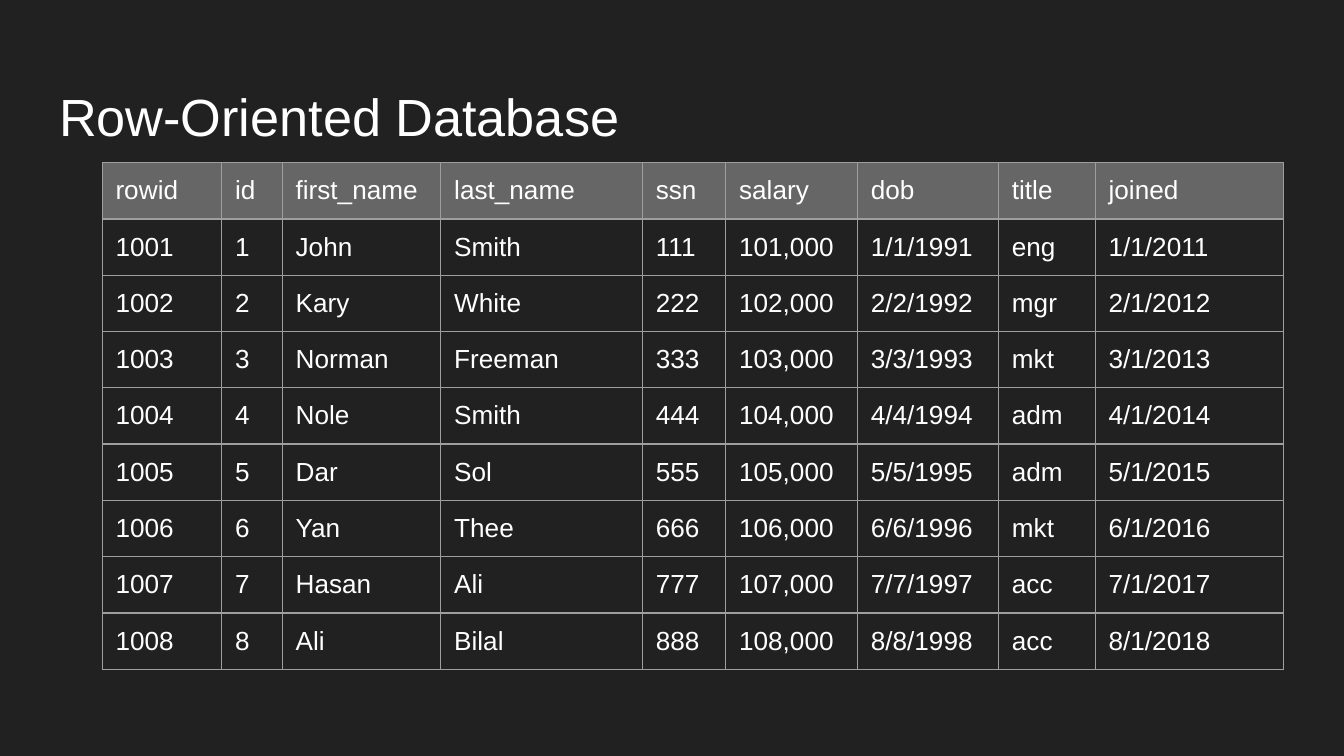
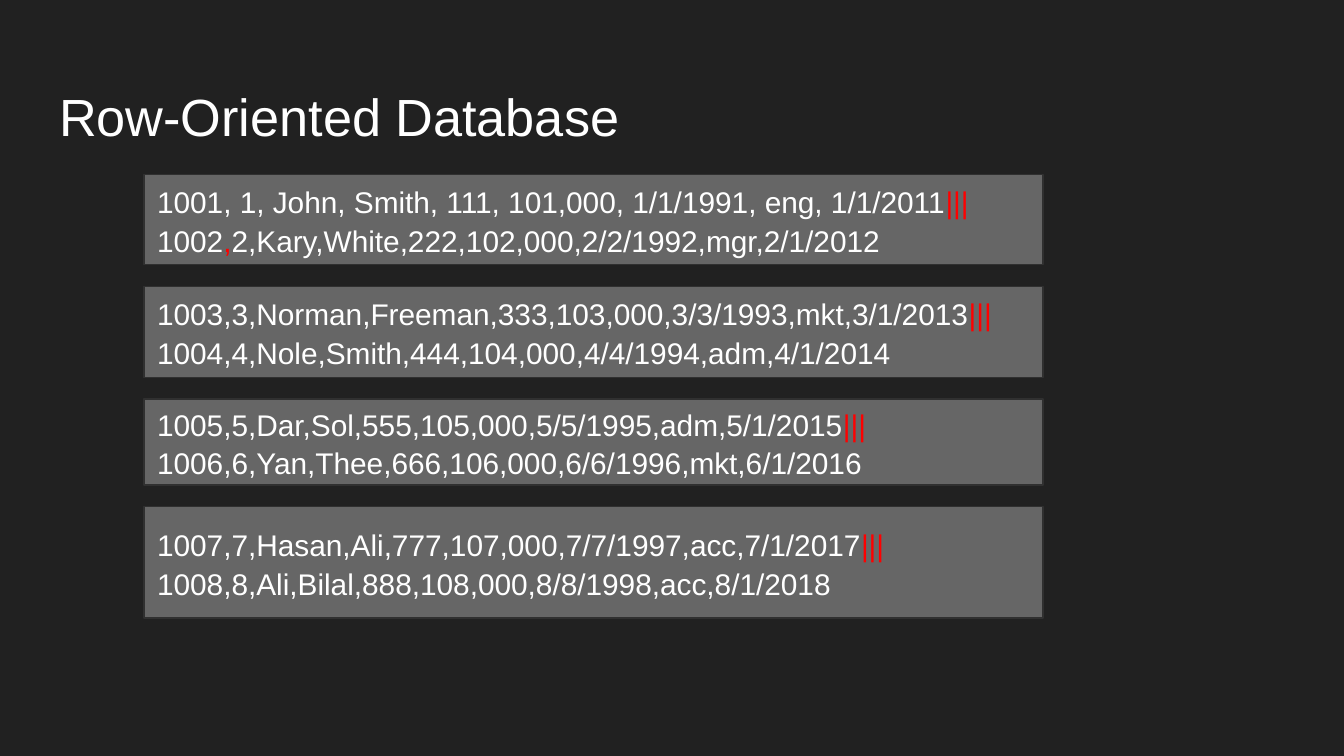
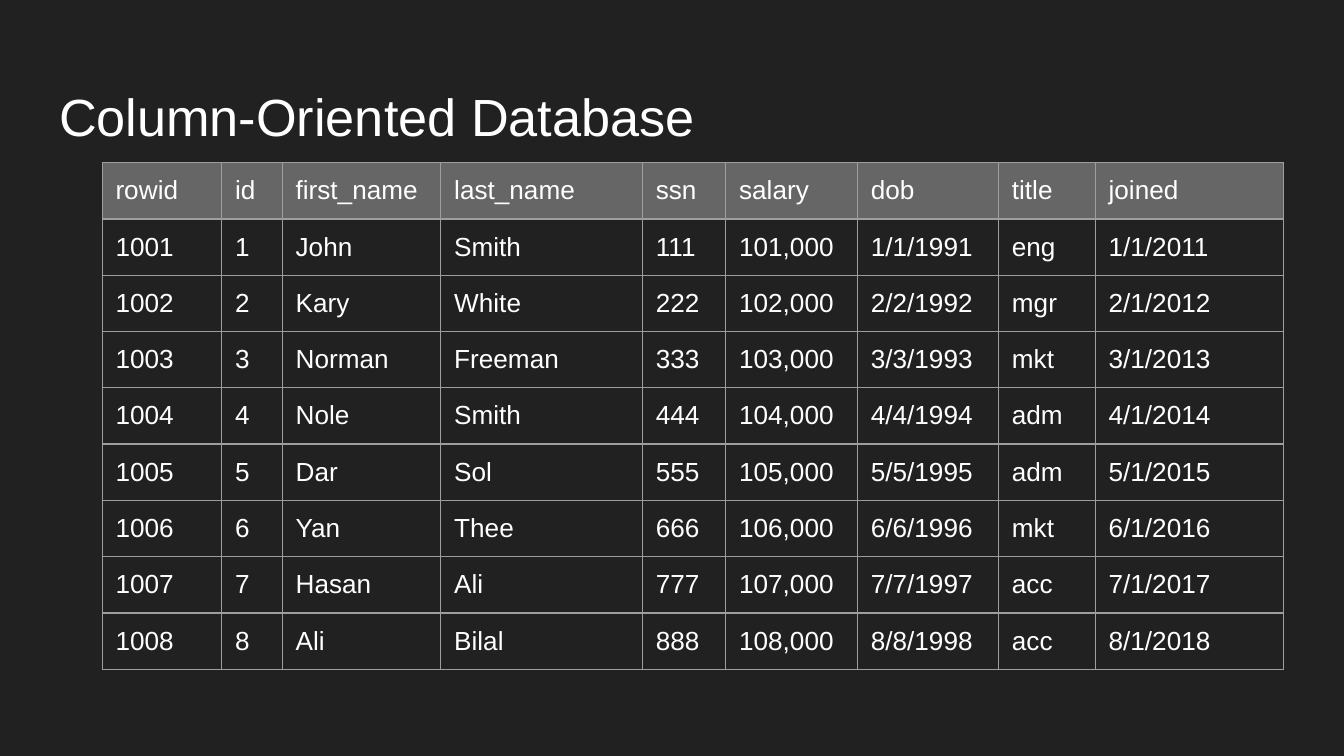
from dataclasses import dataclass

from lxml import etree
from pptx import Presentation
from pptx.dml.color import RGBColor
from pptx.enum.shapes import MSO_SHAPE
from pptx.enum.text import MSO_ANCHOR, MSO_AUTO_SIZE, PP_ALIGN
from pptx.oxml.ns import qn
from pptx.util import Inches, Pt

RECTANGLE = MSO_SHAPE.RECTANGLE
TOP, MIDDLE = MSO_ANCHOR.TOP, MSO_ANCHOR.MIDDLE
LEFT = PP_ALIGN.LEFT
NO_AUTOFIT = MSO_AUTO_SIZE.NONE
TITLE_ONLY = 5


@dataclass(frozen=True)
class Theme:
    """Colours, type sizes and spacing shared by all pages."""
    background: RGBColor = RGBColor(0x21, 0x21, 0x21)
    panel: RGBColor = RGBColor(0x66, 0x66, 0x66)
    outline: RGBColor = RGBColor(0x30, 0x30, 0x30)
    grid: RGBColor = RGBColor(0x9E, 0x9E, 0x9E)
    text: RGBColor = RGBColor(0xFF, 0xFF, 0xFF)
    accent: RGBColor = RGBColor(0xFF, 0x00, 0x00)
    font: str = "Arial"
    title_size: Pt = Pt(28)
    block_size: Pt = Pt(16)
    cell_size: Pt = Pt(14)
    line_width: Pt = Pt(0.75)
    line_spacing: float = 1.08
    inset: Inches = Inches(0.1)


theme = Theme()

FIELDS = ["rowid", "id", "first_name", "last_name", "ssn", "salary", "dob", "title", "joined"]
RECORDS = [
    ["1001", "1", "John", "Smith", "111", "101,000", "1/1/1991", "eng", "1/1/2011"],
    ["1002", "2", "Kary", "White", "222", "102,000", "2/2/1992", "mgr", "2/1/2012"],
    ["1003", "3", "Norman", "Freeman", "333", "103,000", "3/3/1993", "mkt", "3/1/2013"],
    ["1004", "4", "Nole", "Smith", "444", "104,000", "4/4/1994", "adm", "4/1/2014"],
    ["1005", "5", "Dar", "Sol", "555", "105,000", "5/5/1995", "adm", "5/1/2015"],
    ["1006", "6", "Yan", "Thee", "666", "106,000", "6/6/1996", "mkt", "6/1/2016"],
    ["1007", "7", "Hasan", "Ali", "777", "107,000", "7/7/1997", "acc", "7/1/2017"],
    ["1008", "8", "Ali", "Bilal", "888", "108,000", "8/8/1998", "acc", "8/1/2018"],
]
COLUMN_WIDTHS = [0.89, 0.45, 1.18, 1.5, 0.62, 0.98, 1.05, 0.72, 1.4]
BLOCK_HEIGHTS = [0.67, 0.68, 0.64, 0.83]
BLOCK_GAP = 0.16


def style_paragraph(paragraph, size):
    """Give a paragraph the theme font in white, aligned left."""
    paragraph.alignment = LEFT
    paragraph.font.name = theme.font
    paragraph.font.size = size
    paragraph.font.bold = False
    paragraph.font.color.rgb = theme.text


def add_record_table(page):
    """Draw the table of all records under a shaded heading row."""
    rows = [FIELDS] + RECORDS
    height = Inches(3.76)
    table = page.shapes.add_table(len(rows), len(FIELDS), Inches(0.76), Inches(1.21),
                                  Inches(sum(COLUMN_WIDTHS)), height).table
    table.first_row = table.horz_banding = False
    for column, width in zip(table.columns, COLUMN_WIDTHS):
        column.width = Inches(width)
    for row_index, values in enumerate(rows):
        table.rows[row_index].height = height // len(rows)
        for column_index, value in enumerate(values):
            cell = table.cell(row_index, column_index)
            cell.text = value
            cell.margin_left = cell.margin_right = theme.inset
            cell.margin_top = cell.margin_bottom = theme.inset
            style_paragraph(cell.text_frame.paragraphs[0], theme.cell_size)
            properties = cell._tc.get_or_add_tcPr()
            for side in ("a:lnL", "a:lnR", "a:lnT", "a:lnB"):
                border = etree.SubElement(properties, qn(side), w=str(theme.line_width))
                fill = etree.SubElement(border, qn("a:solidFill"))
                etree.SubElement(fill, qn("a:srgbClr"), val=str(theme.grid))
            if row_index == 0:
                cell.fill.solid()
                cell.fill.fore_color.rgb = theme.panel
            else:
                cell.fill.background()


deck = Presentation()
deck.slide_width = Inches(10)
deck.slide_height = deck.slide_width * 9 // 16
deck.slide_master.background.fill.solid()
deck.slide_master.background.fill.fore_color.rgb = theme.background

# Pages with their titles
pages = []
for heading in ("Row-Oriented Database", "Row-Oriented Database", "Column-Oriented Database"):
    page = deck.slides.add_slide(deck.slide_layouts[TITLE_ONLY])
    title = page.shapes.title
    title.left, title.top = Inches(0.34), Inches(0.49)
    title.width, title.height = Inches(9.32), Inches(0.63)
    frame = title.text_frame
    frame.text = heading
    frame.auto_size = NO_AUTOFIT
    frame.vertical_anchor = TOP
    frame.margin_left = frame.margin_right = frame.margin_top = theme.inset
    frame.margin_bottom = Inches(0.05)
    style_paragraph(frame.paragraphs[0], theme.title_size)
    frame.paragraphs[0].line_spacing = theme.line_spacing
    pages.append(page)
row_page, block_page, column_page = pages

# Pages 1 and 3: the records as a table
add_record_table(row_page)
add_record_table(column_page)

# Page 2: storage blocks of two records, each pair parted by red bars
block_top = 1.3
for block_index, block_height in enumerate(BLOCK_HEIGHTS):
    box = block_page.shapes.add_shape(RECTANGLE, Inches(1.07), Inches(block_top),
                                      Inches(6.69), Inches(block_height))
    box.shadow.inherit = False
    box.fill.solid()
    box.fill.fore_color.rgb = theme.panel
    box.line.color.rgb = theme.outline
    box.line.width = theme.line_width
    frame = box.text_frame
    frame.word_wrap = True
    frame.vertical_anchor = MIDDLE
    frame.margin_left = frame.margin_right = theme.inset
    frame.margin_top = frame.margin_bottom = theme.inset

    first, second = RECORDS[2 * block_index:2 * block_index + 2]
    separator = ", " if block_index == 0 else ","
    lines = [[(separator.join(first), theme.text), ("|||", theme.accent)],
             [(",".join(second), theme.text)]]
    if block_index == 0:
        lines[1] = [(second[0], theme.text), (",", theme.accent),
                    (",".join(second[1:]), theme.text)]
    for line_index, spans in enumerate(lines):
        paragraph = frame.add_paragraph() if line_index else frame.paragraphs[0]
        style_paragraph(paragraph, theme.block_size)
        paragraph.line_spacing = theme.line_spacing
        for text, colour in spans:
            span = paragraph.add_run()
            span.text = text
            span.font.color.rgb = colour
    block_top += block_height + BLOCK_GAP

deck.save("out.pptx")
